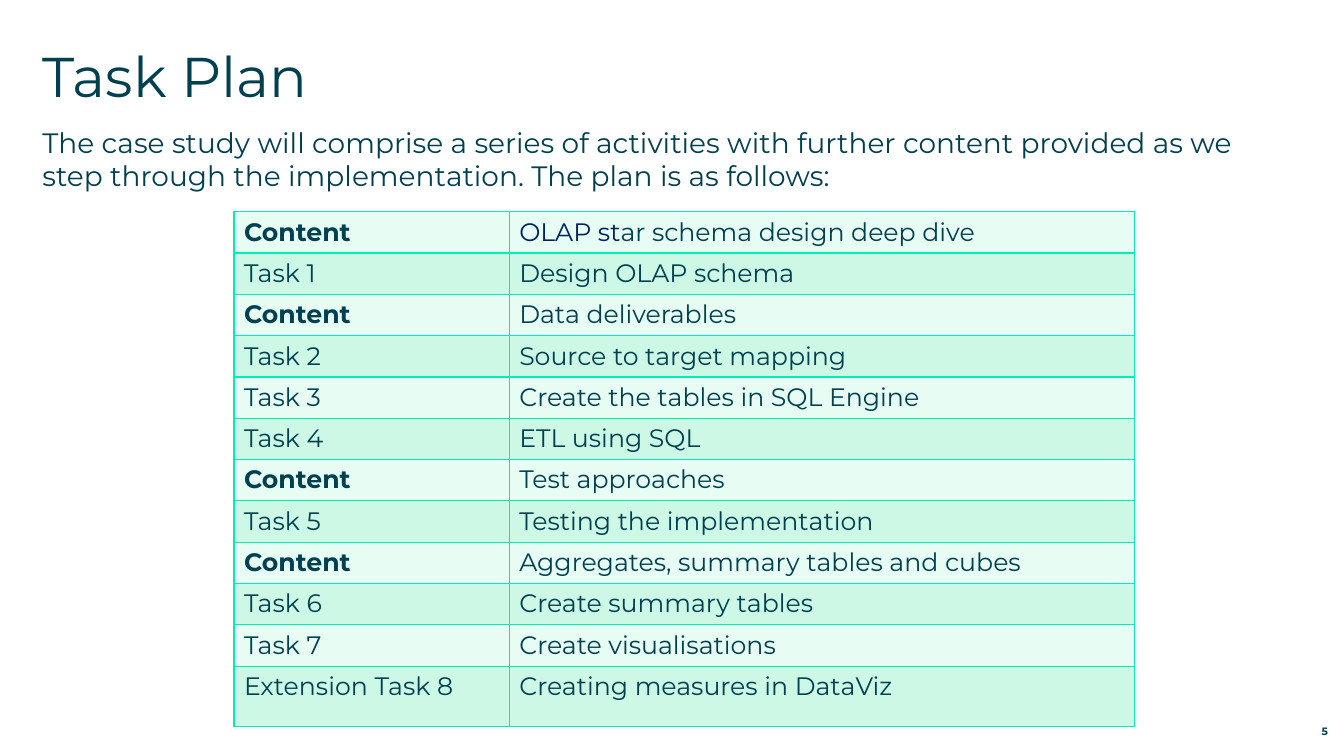
from lxml import etree
from pptx import Presentation
from pptx.dml.color import RGBColor
from pptx.enum.text import MSO_ANCHOR, PP_ALIGN
from pptx.oxml.ns import qn
from pptx.util import Inches, Pt

INK, NAVY, EDGE = "004050", "002060", "00EDB5"
BANDS = ["E7FCF3", "CCF8E5"]


def style(para, size, bold=False):
    for run in para.runs:
        run.font.name = "Montserrat"
        run.font.size = Pt(size)
        run.font.bold = bold
        run.font.color.rgb = RGBColor.from_string(INK)


def fill_box(box, at, text, size, bold=False, anchor=MSO_ANCHOR.TOP, align=PP_ALIGN.LEFT):
    box.left, box.top, box.width, box.height = [Inches(n) for n in at]
    frame = box.text_frame
    frame.margin_left = frame.margin_top = frame.margin_right = frame.margin_bottom = 0
    frame.word_wrap = True
    frame.vertical_anchor = anchor
    frame.text = text
    frame.paragraphs[0].alignment = align
    style(frame.paragraphs[0], size, bold)


deck = Presentation()
deck.slide_width, deck.slide_height = Inches(13.33), Inches(7.5)
slide = deck.slides.add_slide(deck.slide_layouts[5])

# Title, introduction and page number
fill_box(slide.shapes.title, (0.42, 0.41, 12.49, 0.57), "Task Plan", 40)
intro = slide.shapes.add_textbox(0, 0, 0, 0)
fill_box(intro, (0.42, 1.24, 11.89, 1.01),
         "The case study will comprise a series of activities with further content "
         "provided as we step through the implementation. The plan is as follows:", 20)
page = slide.shapes.add_textbox(0, 0, 0, 0)
fill_box(page, (12.31, 7.12, 0.86, 0.2), "5", 7.6, True, MSO_ANCHOR.BOTTOM, PP_ALIGN.RIGHT)

# Plan table
plan = [
    ("Content", "OLAP star schema design deep dive"),
    ("Task 1", "Design OLAP schema"),
    ("Content", "Data deliverables"),
    ("Task 2", "Source to target mapping"),
    ("Task 3", "Create the tables in SQL Engine"),
    ("Task 4", "ETL using SQL"),
    ("Content", "Test approaches"),
    ("Task 5", "Testing the implementation"),
    ("Content", "Aggregates, summary tables and cubes"),
    ("Task 6", "Create summary tables"),
    ("Task 7", "Create visualisations"),
    ("Extension Task 8", "Creating measures in DataViz"),
]
table = slide.shapes.add_table(len(plan), 2, Inches(2.32), Inches(2.1),
                               Inches(8.93), Inches(5.11)).table
table.first_row = False
table.columns[0].width, table.columns[1].width = Inches(2.73), Inches(6.2)

for i, texts in enumerate(plan):
    table.rows[i].height = Inches(0.6 if i == len(plan) - 1 else 0.41)
    for j, text in enumerate(texts):
        cell = table.cell(i, j)
        cell.text = text
        style(cell.text_frame.paragraphs[0], 18, text == "Content")
        # Borders come before the fill in the cell properties
        props = cell._tc.get_or_add_tcPr()
        for side in ("a:lnL", "a:lnR", "a:lnT", "a:lnB"):
            line = etree.SubElement(props, qn(side), w=str(Pt(1)))
            solid = etree.SubElement(line, qn("a:solidFill"))
            etree.SubElement(solid, qn("a:srgbClr"), val=EDGE)
        cell.fill.solid()
        cell.fill.fore_color.rgb = RGBColor.from_string(BANDS[i % 2])

# Navy start of the first topic
first = table.cell(0, 1).text_frame.paragraphs[0]
first.runs[0].text = "OLAP st"
first.add_run().text = "ar schema design deep dive"
style(first, 18)
first.runs[0].font.color.rgb = RGBColor.from_string(NAVY)

deck.save("out.pptx")
